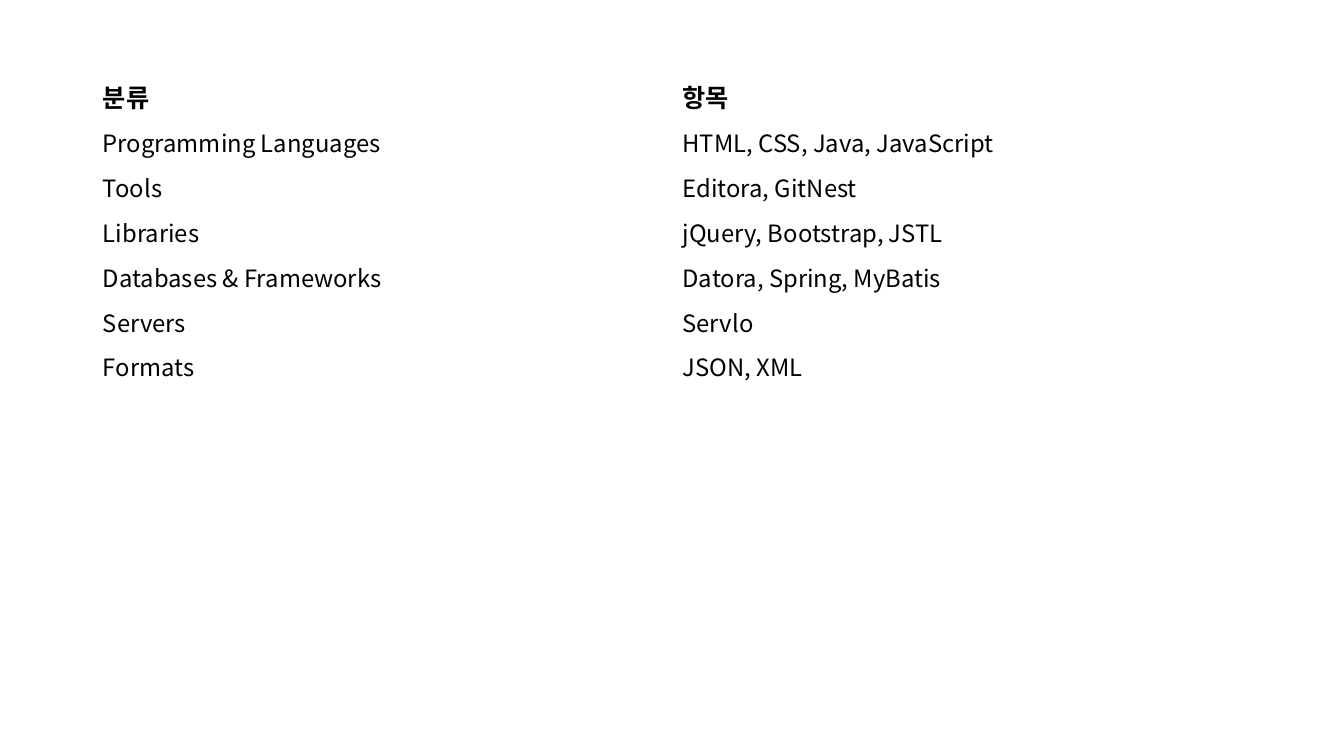
import pptx
import pptx.dml.color
import pptx.enum.text
import pptx.oxml.ns
import pptx.util
from lxml import etree

Inches, Pt = pptx.util.Inches, pptx.util.Pt

FONT = "Noto Sans CJK KR"
ROWS = [
    ("분류", "항목"),
    ("Programming Languages", "HTML, CSS, Java, JavaScript"),
    ("Tools", "Editora, GitNest"),
    ("Libraries", "jQuery, Bootstrap, JSTL"),
    ("Databases & Frameworks", "Datora, Spring, MyBatis"),
    ("Servers", "Servlo"),
    ("Formats", "JSON, XML"),
]
LEFT, TOP, COL_WIDTH = 0.92, 0.73, 5.75
HEADER_HEIGHT, ROW_HEIGHT = 0.46, 0.44


def rgb(value):
    return pptx.dml.color.RGBColor.from_string(value)


def write(tf, text, size=17, bold=False, color="000000"):
    r = tf.paragraphs[0].add_run()
    r.text = text
    r.font.size, r.font.bold, r.font.name = Pt(size), bold, FONT
    r.font.color.rgb = rgb(color)
    # Hangul takes its typeface from the East Asian font
    ea = etree.SubElement(r._r.get_or_add_rPr(), pptx.oxml.ns.qn("a:ea"))
    ea.set("typeface", FONT)


def add_skills_table(s):
    height = HEADER_HEIGHT + ROW_HEIGHT * (len(ROWS) - 1)
    table = s.shapes.add_table(
        len(ROWS), len(ROWS[0]), Inches(LEFT), Inches(TOP),
        Inches(COL_WIDTH * len(ROWS[0])), Inches(height)).table
    table.first_row = table.horz_banding = False
    for column in table.columns:
        column.width = Inches(COL_WIDTH)
    for i, texts in enumerate(ROWS):
        header = i == 0
        table.rows[i].height = Inches(HEADER_HEIGHT if header else ROW_HEIGHT)
        for j, text in enumerate(texts):
            cell = table.cell(i, j)
            cell.fill.background()
            cell.vertical_anchor = pptx.enum.text.MSO_ANCHOR.MIDDLE
            write(cell.text_frame, text, size=18 if header else 17, bold=header)


def main():
    prs = pptx.Presentation()
    prs.slide_width, prs.slide_height = Inches(13.33), Inches(7.5)
    s = prs.slides.add_slide(prs.slide_layouts[6])
    add_skills_table(s)
    prs.save("out.pptx")


if __name__ == "__main__":
    main()
